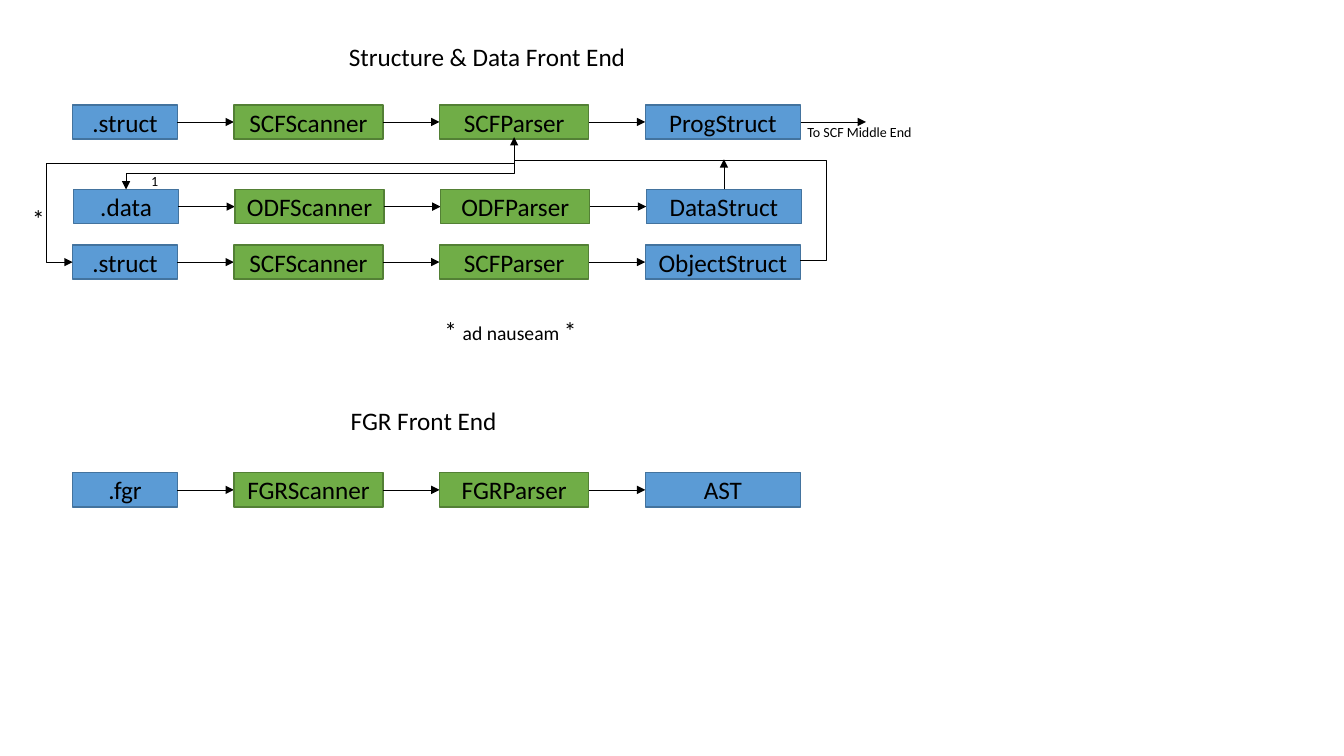
from dataclasses import dataclass

from lxml.etree import SubElement
from pptx import Presentation
from pptx.dml.color import RGBColor
from pptx.enum.shapes import MSO_CONNECTOR, MSO_SHAPE
from pptx.enum.text import MSO_ANCHOR, MSO_AUTO_SIZE, PP_ALIGN
from pptx.oxml.ns import qn
from pptx.util import Inches, Pt


@dataclass(frozen=True)
class Theme:
    font: str = "Calibri"
    ink: RGBColor = RGBColor(0x00, 0x00, 0x00)
    data: tuple = (RGBColor(0x5B, 0x9B, 0xD5), RGBColor(0x43, 0x73, 0x9E))
    stage: tuple = (RGBColor(0x70, 0xAD, 0x47), RGBColor(0x53, 0x80, 0x35))
    body: int = 18
    remark: int = 14
    small: int = 10
    border: float = 1
    arrow: float = 0.5


class Diagram:
    left = 0.72
    gap = 0.56
    height = 0.34
    widths = (1.04, 1.48, 1.48, 1.54)

    def __init__(self, slide, theme):
        self.slide = slide
        self.theme = theme

    def style(self, p, size):
        for r in p.runs:
            r.font.name = self.theme.font
            r.font.size = Pt(size)
            r.font.color.rgb = self.theme.ink

    def box(self, x, y, w, text, colors):
        sp = self.slide.shapes.add_shape(
            MSO_SHAPE.RECTANGLE, Inches(x), Inches(y), Inches(w), Inches(self.height))
        fill, line = colors
        sp.shadow.inherit = False
        sp.fill.solid()
        sp.fill.fore_color.rgb = fill
        sp.line.color.rgb = line
        sp.line.width = Pt(self.theme.border)
        tf = sp.text_frame
        tf.text = text
        tf.vertical_anchor = MSO_ANCHOR.MIDDLE
        p = tf.paragraphs[0]
        p.alignment = PP_ALIGN.CENTER
        self.style(p, self.theme.body)

    def arrow(self, start, end, kind=MSO_CONNECTOR.STRAIGHT):
        cxn = self.slide.shapes.add_connector(kind, *(Inches(v) for v in start + end))
        cxn.line.color.rgb = self.theme.ink
        cxn.line.width = Pt(self.theme.arrow)
        SubElement(cxn.line._get_or_add_ln(), qn("a:tailEnd"), type="triangle")
        SubElement(cxn._element.spPr, qn("a:effectLst"))
        return cxn

    def elbow(self, start, end, adjust, turned=False):
        cxn = self.arrow(start, end, MSO_CONNECTOR.ELBOW)
        spPr = cxn._element.spPr
        if turned:
            (x1, y1), (x2, y2) = start, end
            w, h = abs(y2 - y1), abs(x2 - x1)
            cxn.left, cxn.top = Inches((x1 + x2 - w) / 2), Inches((y1 + y2 - h) / 2)
            cxn.width, cxn.height = Inches(w), Inches(h)
            xfrm = spPr.find(qn("a:xfrm"))
            xfrm.attrib.clear()
            xfrm.set("rot", str(90 * 60000))
        geom = spPr.find(qn("a:prstGeom"))
        geom.set("prst", f"bentConnector{len(adjust) + 2}")
        guides = geom.find(qn("a:avLst"))
        for i, share in enumerate(adjust, 1):
            SubElement(guides, qn("a:gd"), name=f"adj{i}", fmla=f"val {round(share * 100000)}")

    def pipeline(self, y, labels, shift=0):
        x = self.left + shift
        middle = y + self.height / 2
        for i, (text, w) in enumerate(zip(labels, self.widths)):
            if i:
                self.arrow((x - self.gap, middle), (x, middle))
            self.box(x, y, w, text, self.theme.stage if i in (1, 2) else self.theme.data)
            x += w + self.gap

    def label(self, x, y, w, h, text, size):
        sp = self.slide.shapes.add_textbox(Inches(x), Inches(y), Inches(w), Inches(h))
        tf = sp.text_frame
        tf.text = text
        tf.word_wrap = False
        tf.auto_size = MSO_AUTO_SIZE.SHAPE_TO_FIT_TEXT
        self.style(tf.paragraphs[0], size)
        return tf.paragraphs[0]

    def title(self, x, y, w, h, text):
        sp = self.slide.shapes.title
        sp.left, sp.top, sp.width, sp.height = (Inches(v) for v in (x, y, w, h))
        tf = sp.text_frame
        tf.text = text
        tf.word_wrap = False
        tf.auto_size = MSO_AUTO_SIZE.NONE
        tf.vertical_anchor = MSO_ANCHOR.TOP
        p = tf.paragraphs[0]
        p.alignment = PP_ALIGN.LEFT
        self.style(p, self.theme.body)


def main():
    prs = Presentation()
    prs.slide_width, prs.slide_height = Inches(13.33), Inches(7.5)
    theme = Theme()
    d = Diagram(prs.slides.add_slide(prs.slide_layouts[5]), theme)

    d.title(3.36, 0.36, 2.97, 0.4, "Structure & Data Front End")
    d.pipeline(1.04, (".struct", "SCFScanner", "SCFParser", "ProgStruct"))
    d.pipeline(1.88, (".data", "ODFScanner", "ODFParser", "DataStruct"), shift=0.01)
    d.pipeline(2.43, (".struct", "SCFScanner", "SCFParser", "ObjectStruct"))
    d.pipeline(4.69, (".fgr", "FGRScanner", "FGRParser", "AST"))

    d.elbow((5.1, 1.38), (1.25, 1.88), (0.68,), turned=True)
    d.elbow((5.1, 1.38), (0.72, 2.6), (0.2, 1.06), turned=True)
    d.elbow((7.94, 2.58), (5.1, 1.36), (-0.09, 0.81))
    d.arrow((7.18, 1.88), (7.18, 1.58))
    d.arrow((7.94, 1.21), (8.59, 1.21))

    d.label(0.22, 1.97, 0.33, 0.4, "*", theme.body)
    d.label(1.4, 1.66, 0.27, 0.27, "1", theme.small)
    d.label(7.91, 1.18, 1.26, 0.27, "To SCF Middle End", theme.small)
    d.label(3.38, 3.97, 1.66, 0.4, "FGR Front End", theme.body)
    p = d.label(4.31, 3.08, 1.53, 0.4, "* ", theme.body)
    for text in ("ad nauseam ", "*"):
        p.add_run().text = text
    d.style(p, theme.body)
    p.runs[1].font.size = Pt(theme.remark)

    prs.save("out.pptx")


if __name__ == "__main__":
    main()
